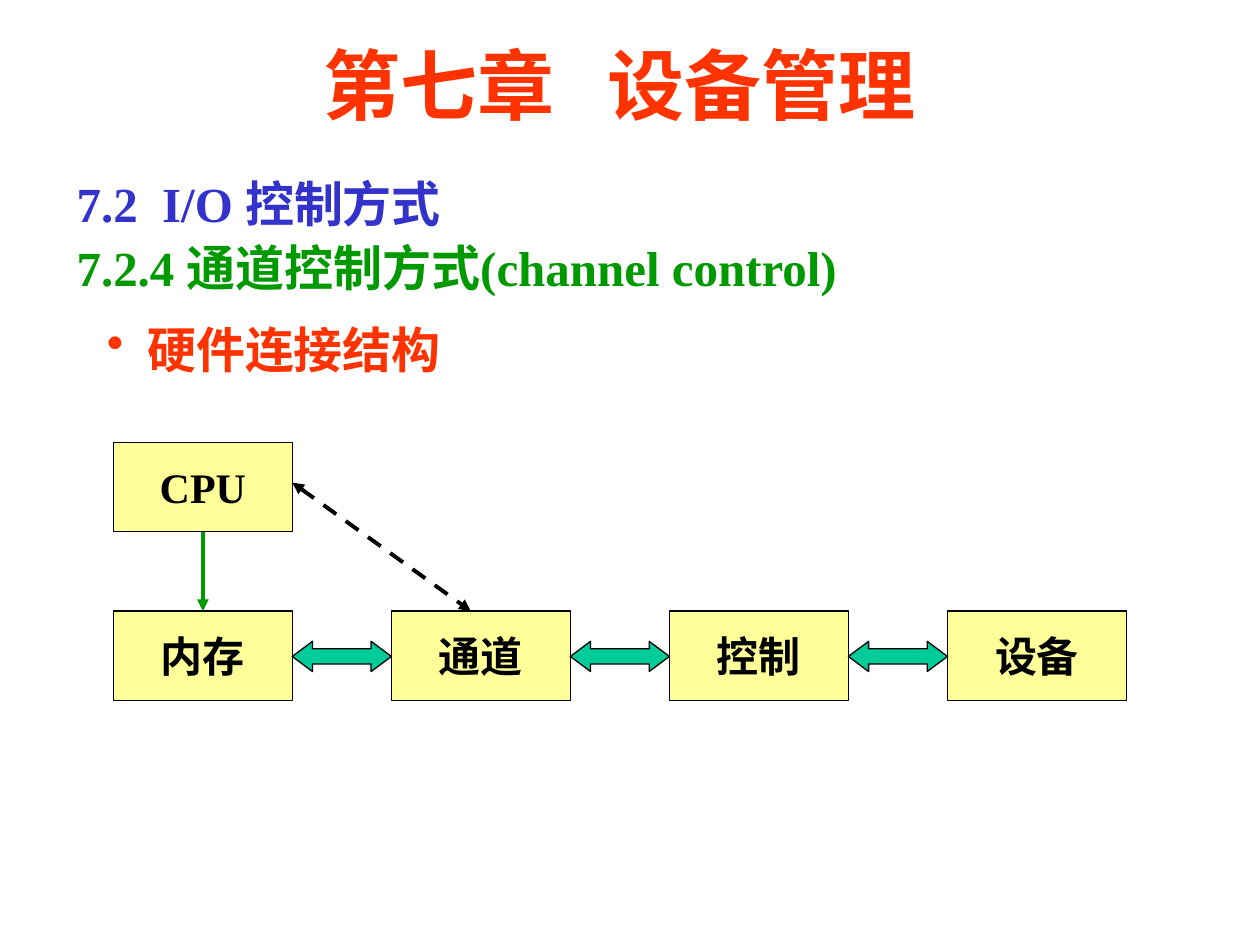
from lxml.etree import SubElement
from pptx import Presentation
from pptx.dml.color import RGBColor
from pptx.enum.dml import MSO_LINE
from pptx.enum.shapes import MSO_CONNECTOR, MSO_SHAPE
from pptx.enum.text import MSO_ANCHOR, PP_ALIGN
from pptx.oxml.ns import qn
from pptx.util import Inches, Pt

FONT = "Times New Roman"
RED, BLUE, GREEN, BLACK = "FF3300", "3333CC", "009900", "000000"
YELLOW, TEAL = "FFFF99", "00CC99"


def color(code):
    return RGBColor.from_string(code)


def style(para, size, code, align=PP_ALIGN.LEFT):
    para.alignment = align
    font = para.font
    font.name, font.size, font.bold = FONT, Pt(size), True
    font.color.rgb = color(code)


def add_text(slide, box, lines, size, align=PP_ALIGN.LEFT, anchor=MSO_ANCHOR.TOP):
    frame = slide.shapes.add_textbox(*map(Inches, box)).text_frame
    frame.word_wrap = True
    frame.vertical_anchor = anchor
    for i, (text, code) in enumerate(lines):
        para = frame.add_paragraph() if i else frame.paragraphs[0]
        para.text = text
        style(para, size, code, align)
    return frame


def add_title(slide, box):
    add_text(slide, box, [("第七章   设备管理", RED)], 44,
             PP_ALIGN.CENTER, MSO_ANCHOR.MIDDLE)


def add_heads(slide, box):
    lines = [("7.2  I/O 控制方式", BLUE),
             ("7.2.4 通道控制方式(channel control)", GREEN)]
    for para in add_text(slide, box, lines, 28).paragraphs:
        para.line_spacing = 1.1


def add_topic(slide, box):
    para = add_text(slide, box, [("硬件连接结构", RED)], 28).paragraphs[0]
    para.space_before = Pt(5.6)
    props = para._p.get_or_add_pPr()
    props.set("marL", str(Inches(0.32)))
    props.set("indent", str(-Inches(0.32)))
    SubElement(props, qn("a:buChar"), char="•")


def add_block(slide, kind, box, fill):
    shape = slide.shapes.add_shape(kind, *map(Inches, box))
    shape.shadow.inherit = False
    shape.fill.solid()
    shape.fill.fore_color.rgb = color(fill)
    shape.line.color.rgb = color(BLACK)
    shape.line.width = Pt(0.75)
    return shape


def add_unit(slide, box, name):
    frame = add_block(slide, MSO_SHAPE.RECTANGLE, box, YELLOW).text_frame
    frame.word_wrap = False
    frame.vertical_anchor = MSO_ANCHOR.MIDDLE
    frame.text = name
    style(frame.paragraphs[0], 24, BLACK, PP_ALIGN.CENTER)


def add_link(slide, start, end, code, ends, dash=None):
    link = slide.shapes.add_connector(
        MSO_CONNECTOR.STRAIGHT, *map(Inches, start + end))
    link.line.color.rgb = color(code)
    link.line.width = Pt(2.25)
    if dash:
        link.line.dash_style = dash
    for end_tag in ends:
        SubElement(link.line._get_or_add_ln(), qn(end_tag), type="triangle")
    SubElement(link._element.spPr, qn("a:effectLst"))


def add_diagram(slide, box):
    left, top, width, height = box
    wide, high = 1.42, 0.71
    names = ["内存", "通道", "控制", "设备"]
    pitch = (width - wide) / (len(names) - 1)
    row = top + height - high

    # CPU above a row of units
    add_unit(slide, (left, top, wide, high), "CPU")
    for i, name in enumerate(names):
        add_unit(slide, (left + i * pitch, row, wide, high), name)

    # Two-way arrows fill the gaps in the row
    for i in range(len(names) - 1):
        gap = (left + i * pitch + wide, row + 0.24, pitch - wide, 0.24)
        arrow = add_block(slide, MSO_SHAPE.LEFT_RIGHT_ARROW, gap, TEAL)
        arrow.adjustments[0], arrow.adjustments[1] = 0.5, 0.67

    # CPU to memory, and CPU to and from channel
    mid = left + wide / 2
    add_link(slide, (mid, top + high), (mid, row), GREEN, ["a:tailEnd"])
    add_link(slide, (left + wide, top + 0.32), (left + pitch + 0.63, row),
             BLACK, ["a:headEnd", "a:tailEnd"], MSO_LINE.DASH)


def main():
    deck = Presentation()
    deck.slide_width, deck.slide_height = Inches(10), Inches(7.5)
    slide = deck.slides.add_slide(deck.slide_layouts[6])
    add_title(slide, (1.17, 0.25, 7.5, 0.83))
    add_heads(slide, (0.51, 1.28, 9, 1.13))
    add_topic(slide, (0.75, 2.49, 3.23, 0.67))
    add_diagram(slide, (0.9, 3.51, 8.04, 2.05))
    deck.save("out.pptx")


if __name__ == "__main__":
    main()
